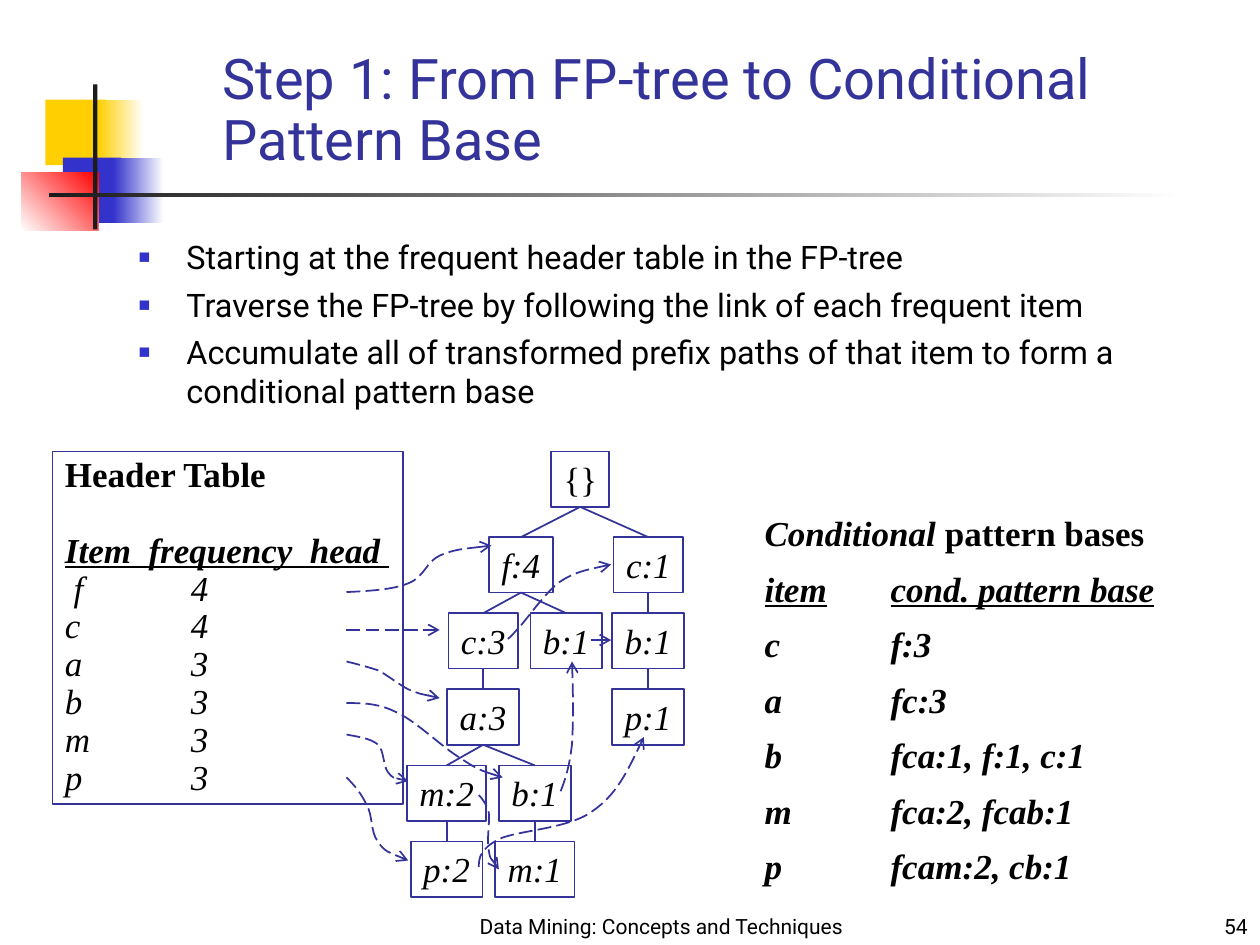
import pptx
import pptx.dml.color
import pptx.enum.dml
import pptx.enum.shapes
import pptx.enum.text
import pptx.oxml.ns
import pptx.util
from dataclasses import dataclass
from lxml import etree

SANS, SERIF = "Roboto", "Times New Roman"
BLACK, NAVY, BLUE, GOLD, RED, WHITE, COAL = (
    "000000", "333399", "3333CC", "FFCF01", "FF0000", "FFFFFF", "1C1C1C")
ALIGN = pptx.enum.text.PP_ALIGN
ANCHOR = pptx.enum.text.MSO_ANCHOR
RECTANGLE = pptx.enum.shapes.MSO_SHAPE.RECTANGLE
STRAIGHT = pptx.enum.shapes.MSO_CONNECTOR.STRAIGHT

deck = pptx.Presentation()
deck.slide_width, deck.slide_height = pptx.util.Inches(10), pptx.util.Inches(7.5)
COLUMN, ROW = deck.slide_width / 100, deck.slide_height / 75


@dataclass
class Box:
    left: float
    top: float
    width: float
    height: float

    def point(self, x, y):
        return round((self.left + x) * COLUMN), round((self.top + y) * ROW)

    def inner(self, x, y, width, height):
        return Box(self.left + x, self.top + y, width, height)

    def frame(self):
        return (*self.point(0, 0), round(self.width * COLUMN), round(self.height * ROW))


def color(value):
    return pptx.dml.color.RGBColor.from_string(value)


def add_xml(parent, tag, **attributes):
    return etree.SubElement(parent, pptx.oxml.ns.qn("a:" + tag), attributes)


def format_runs(paragraph, font, size, shade=BLACK, **style):
    for run in paragraph.runs:
        run.font.name, run.font.size = font, pptx.util.Pt(size)
        run.font.color.rgb = color(shade)
        for key, value in style.items():
            setattr(run.font, key, value)


def set_tab(paragraph, inch):
    stops = add_xml(paragraph._p.get_or_add_pPr(), "tabLst")
    add_xml(stops, "tab", pos=str(pptx.util.Inches(inch)), algn="l")


def style_line(stroke, link=False):
    stroke.line.color.rgb = color(NAVY)
    stroke.line.width = pptx.util.Pt(1)
    if link:
        stroke.line.dash_style = pptx.enum.dml.MSO_LINE.LONG_DASH
        add_xml(stroke.line._get_or_add_ln(), "tailEnd", type="arrow")


def add_line(slide, start, end, link=False):
    line = slide.shapes.add_connector(STRAIGHT, *start, *end)
    style_line(line, link)
    add_xml(line._element.spPr, "effectLst")


def add_curve(slide, start, *corners):
    builder = slide.shapes.build_freeform(*start)
    builder.add_line_segments(corners, close=False)
    curve = builder.convert_to_shape()
    segments = list(curve._element.iter(pptx.oxml.ns.qn("a:lnTo")))
    outline = segments[0].getparent()
    for k in range(0, len(segments), 3):
        bend = add_xml(outline, "cubicBezTo")
        for segment in segments[k:k + 3]:
            bend.append(segment[0])
            outline.remove(segment)
    curve.shadow.inherit = False
    curve.fill.background()
    style_line(curve, link=True)


def add_rectangle(slide, box):
    rectangle = slide.shapes.add_shape(RECTANGLE, *box.frame())
    rectangle.shadow.inherit = False
    return rectangle


def add_outlined(slide, box, text, wrap):
    outlined = add_rectangle(slide, box)
    outlined.fill.background()
    style_line(outlined)
    words = outlined.text_frame
    words.text, words.word_wrap, words.vertical_anchor = text, wrap, ANCHOR.TOP
    for paragraph in words.paragraphs:
        paragraph.alignment = ALIGN.LEFT
    return words


def add_ornament(slide, box):
    pieces = [
        (1.9, 1.2, 4.8, 5.2, GOLD, None, 0), (6.1, 1.2, 3.6, 5.2, GOLD, WHITE, 0),
        (3.3, 5.8, 4.6, 5.2, BLUE, None, 0), (7.3, 5.8, 4, 5.2, BLUE, WHITE, 0),
        (0, 7, 6.1, 4.6, WHITE, RED, 45), (5.7, 0, 0.34, 11.5, COAL, None, 0),
        (2.2, 8.64, 90, 0.34, COAL, WHITE, 0)]
    for x, y, width, height, first, last, angle in pieces:
        piece = add_rectangle(slide, box.inner(x, y, width, height))
        piece.line.fill.background()
        if last:
            piece.fill.gradient()
            piece.fill.gradient_angle = angle
            for stop, shade in zip(piece.fill.gradient_stops, (first, last)):
                stop.color.rgb = color(shade)
        else:
            piece.fill.solid()
            piece.fill.fore_color.rgb = color(first)


def fill_placeholder(placeholder, box, text):
    placeholder.left, placeholder.top, placeholder.width, placeholder.height = box.frame()
    words = placeholder.text_frame
    words.text = text
    words.auto_size = pptx.enum.text.MSO_AUTO_SIZE.NONE
    return words


def add_title(slide, box):
    words = fill_placeholder(
        slide.shapes.title, box, "Step 1: From FP-tree to Conditional Pattern Base")
    words.vertical_anchor = ANCHOR.BOTTOM
    heading = words.paragraphs[0]
    heading.alignment, heading.line_spacing = ALIGN.LEFT, 0.9
    format_runs(heading, SANS, 32, NAVY)


def add_steps(slide, box):
    words = fill_placeholder(slide.placeholders[1], box, "\n".join([
        "Starting at the frequent header table in the FP-tree",
        "Traverse the FP-tree by following the link of each frequent item",
        "Accumulate all of transformed prefix paths of that item to form a "
        "conditional pattern base"]))
    words.vertical_anchor = ANCHOR.TOP
    for step in words.paragraphs:
        step.space_before = pptx.util.Pt(5)
        format_runs(step, SANS, 18.5)
        layout = step._p.get_or_add_pPr()
        indent = pptx.util.Inches(0.38)
        layout.set("marL", str(indent))
        layout.set("indent", str(-indent))
        add_xml(add_xml(layout, "buClr"), "srgbClr", val=BLUE)
        add_xml(layout, "buSzPct", val="60000")
        add_xml(layout, "buChar", char="■")


def add_footer(slide, box, text, alignment):
    words = slide.shapes.add_textbox(*box.frame()).text_frame
    words.text, words.word_wrap, words.vertical_anchor = text, True, ANCHOR.BOTTOM
    words.paragraphs[0].alignment = alignment
    format_runs(words.paragraphs[0], SANS, 12)


def add_pattern_bases(slide, box):
    words = slide.shapes.add_textbox(*box.frame()).text_frame
    words.word_wrap = True
    bases = [("item", "cond. pattern base"), ("c", "f:3"), ("a", "fc:3"),
             ("b", "fca:1, f:1, c:1"), ("m", "fca:2, fcab:1"), ("p", "fcam:2, cb:1")]
    words.text = "\n".join(["Conditional "] + ["\t".join(base) for base in bases])
    words.paragraphs[0].add_run().text = "pattern bases"
    caption, *entries = words.paragraphs
    for paragraph in (caption, *entries):
        paragraph.space_before = pptx.util.Pt(12.5)
        format_runs(paragraph, SERIF, 20, bold=True, italic=True)
    caption.runs[1].font.italic = False
    for entry in entries:
        entry.line_spacing = 0.8
        set_tab(entry, 1)
    for run in entries[0].runs:
        run.font.underline = True


def add_header_table(slide, box):
    counts = {" f": 4, "c": 4, "a": 3, "b": 3, "m": 3, "p": 3}
    lines = ["Header Table", "Item  frequency  head "]
    lines += [f"{item}\t{count}" for item, count in counts.items()]
    words = add_outlined(slide, box, "\n".join(lines), True)
    caption, heads, *items = words.paragraphs
    for paragraph in (caption, heads, *items):
        paragraph.line_spacing = 0.9
    format_runs(caption, SERIF, 20, bold=True)
    format_runs(heads, SERIF, 20, bold=True, italic=True, underline=True)
    heads.space_before = pptx.util.Pt(21.5)
    for item in items:
        format_runs(item, SERIF, 20, italic=True)
        set_tab(item, 1)


def add_tree(slide, box):
    widths = {"{": 4.6, "f": 5.1, "c": 5.5, "m": 6.3}
    nodes = [("{}", 13.75, 0, None), ("f:4", 9.05, 1, 0), ("c:1", 19.15, 1, 0),
             ("c:3", 6.05, 2, 1), ("b:1", 12.65, 2, 1), ("b:1", 19.15, 2, 2),
             ("a:3", 6.05, 3, 3), ("p:1", 19.15, 3, 5), ("m:2", 3.15, 4, 6),
             ("b:1", 10.15, 4, 6), ("p:2", 3.15, 5, 8), ("m:1", 10.15, 5, 9)]
    height = 4.4

    def top(level):
        return 0.76 + 6.04 * level if level else 0

    for label, center, level, parent in nodes:
        width = widths.get(label[0], 5.7)
        node = box.inner(center - width / 2, top(level), width, height)
        words = add_outlined(slide, node, label, False)
        format_runs(words.paragraphs[0], SERIF, 20, italic=level > 0)
        if parent is not None:
            _, above, upper, _ = nodes[parent]
            add_line(slide, box.point(above, top(upper) + height),
                     box.point(center, top(level)))


def add_node_links(slide, box):
    links = [
        "0,11.2 1.9,11.1 3.7,11 4.9,10.5 6.2,10 6.3,8.8 7.4,8.3 8.5,7.8 10,7.7 11.5,7.5",
        "0,14.2 0,14.2 3.7,14.2 7.4,14.2",
        "12.8,14.9 12.8,14.9 12.9,14.9 13.6,14.1 14.3,13.4 15.7,11.3 16.9,10.4 "
        "18.1,9.6 19.6,9.3 21,9",
        "0,16.7 0.8,16.9 1.6,17.1 2.5,17.4 3.3,17.8 4.1,18.5 4.9,18.9 "
        "5.8,19.3 6.6,19.4 7.4,19.6",
        "0,20 1.3,20 2.6,20 4.1,20.8 5.6,21.5 7.7,23.6 9.1,24.4 10.4,25.3 11.4,25.6 12.4,25.9",
        "17,27 17.4,26 17.7,25 17.9,23.3 18,21.6 18,19.2 17.9,16.7",
        "19.4,15 21,15",
        "0,22.5 1,22.7 1.9,22.8 2.5,23.3 3,23.8 2.9,25 3.3,25.5 3.7,26 4.3,26.1 4.9,26.2",
        "10.5,27.3 10.8,27.6 11.1,28 11.3,28.7 11.4,29.5 11.1,31 11.3,31.7 "
        "11.4,32.4 11.8,32.8 12.1,33.2",
        "0,25.9 0.6,26.5 1.2,27.2 1.6,28.1 2.1,28.9 1.9,30.3 2.5,31 3,31.8 4,32.1 4.9,32.5",
        "10.5,33 10.5,32.3 10.6,31.6 12.1,30.8 13.6,30.1 17.6,30 19.5,28.6 "
        "21.4,27.3 22.5,25 23.6,22.7"]
    for link in links:
        corners = [box.point(*map(float, pair.split(","))) for pair in link.split()]
        if len(corners) == 2:
            add_line(slide, *corners, link=True)
        else:
            add_curve(slide, *corners)


def main():
    slide = deck.slides.add_slide(deck.slide_layouts[1])
    add_ornament(slide, Box(1.7, 6.7, 92.2, 11.6))
    add_footer(slide, Box(36.65, 70.8, 31.7, 4.2),
               "Data Mining: Concepts and Techniques", ALIGN.CENTER)
    add_footer(slide, Box(79.2, 70.8, 20.8, 4.2), "54", ALIGN.RIGHT)
    add_title(slide, Box(16.67, 2.5, 80, 11.67))
    add_steps(slide, Box(10, 18.33, 86.4, 15.8))
    add_pattern_bases(slide, Box(59.7, 40.1, 36.4, 30.8))
    add_tree(slide, Box(32.3, 35.83, 22, 35.4))
    add_header_table(slide, Box(4.17, 35.83, 27.8, 28))
    add_node_links(slide, Box(27.5, 35.8, 23.6, 33.2))
    deck.save("out.pptx")


if __name__ == "__main__":
    main()
